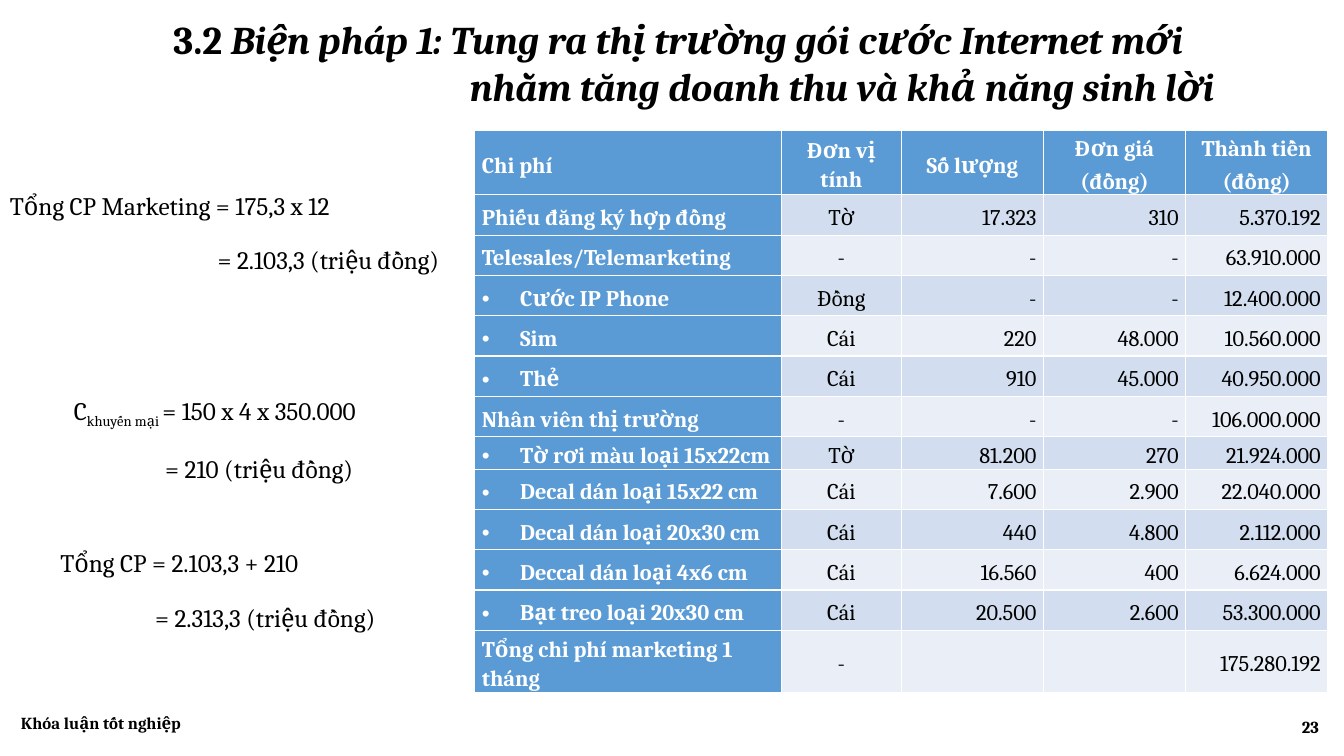
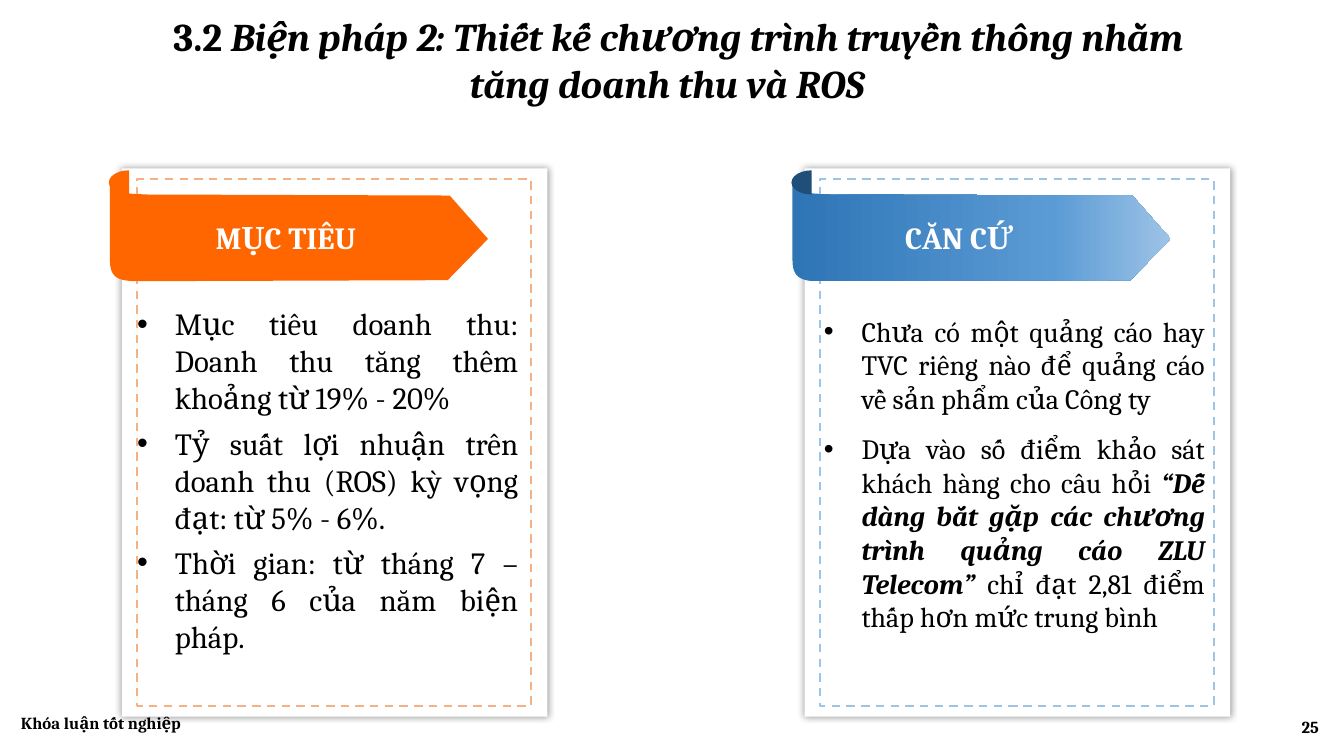
from copy import deepcopy
from dataclasses import dataclass, field
from typing import Any

from pptx import Presentation
from pptx.dml.color import RGBColor
from pptx.enum.shapes import MSO_SHAPE as SHAPE
from pptx.enum.dml import MSO_LINE
from pptx.enum.text import MSO_ANCHOR as ANCHOR, MSO_AUTO_SIZE as AUTO, PP_ALIGN as ALIGN
from pptx.oxml import parse_xml
from pptx.oxml.ns import nsdecls, qn
from pptx.util import Inches, Pt

BLACK = RGBColor(0x00, 0x00, 0x00)
WHITE = RGBColor(0xFF, 0xFF, 0xFF)
BLUE = RGBColor(0x5B, 0x9B, 0xD5)
DARK_BLUE = RGBColor(0x2E, 0x75, 0xB6)
NAVY = RGBColor(0x1F, 0x4E, 0x79)
LIGHT_BLUE = RGBColor(0x9D, 0xC3, 0xE6)
ORANGE = RGBColor(0xFF, 0x66, 0x00)
PEACH = RGBColor(0xF4, 0xB1, 0x83)
BAND_DARK = RGBColor(0xD2, 0xDE, 0xEF)
BAND_LIGHT = RGBColor(0xEA, 0xEF, 0xF7)

FONT = "Cambria"
TITLE_INDENT = 2.94
BULLET_INDENT = 0.38
TWO_CONTENT, TITLE_ONLY = 3, 5

Box = tuple[float, float, float, float]
Point = tuple[float, float]


@dataclass
class Run:
    text: str
    bold: bool = False
    italic: bool = False
    baseline: int = 0


@dataclass
class Para:
    runs: list[Run]
    indent: float = 0
    fmt: dict[str, Any] = field(default_factory=dict)


@dataclass
class Formula:
    box: Box
    paras: list[Para]
    wrap: bool = True


@dataclass
class Panel:
    left: float
    frame: RGBColor
    ribbon: list[tuple[float, RGBColor]]
    fold: RGBColor
    label: str
    label_left: float
    body: Box
    size: int
    gap: int
    items: list[list[Run]]


def fill_text(tf: Any, paras: list[Para], size: float, color: RGBColor = BLACK) -> None:
    for i, para in enumerate(paras):
        p = tf.paragraphs[0] if i == 0 else tf.add_paragraph()
        for name, value in para.fmt.items():
            setattr(p, name, value)
        if i == 0:
            p.space_before = Pt(0)
        if para.indent:
            p._p.get_or_add_pPr().set("indent", str(Inches(para.indent)))
        for run in para.runs:
            r = p.add_run()
            r.text = run.text
            look = {"name": FONT, "size": Pt(size), "bold": run.bold, "italic": run.italic}
            for name, value in look.items():
                setattr(r.font, name, value)
            r.font.color.rgb = color
            if run.baseline:
                r.font._element.set("baseline", str(run.baseline * 1000))


def place(sp: Any, box: Box) -> None:
    for name, value in zip(("left", "top", "width", "height"), box):
        setattr(sp, name, Inches(value))


def set_frame(tf: Any, anchor: Any, wrap: bool = True) -> None:
    for name, value in {"word_wrap": wrap, "auto_size": AUTO.NONE, "vertical_anchor": anchor}.items():
        setattr(tf, name, value)


def add_text(slide: Any, box: Box, paras: list[Para], size: float, color: RGBColor = BLACK,
             anchor: Any = ANCHOR.MIDDLE, wrap: bool = True) -> None:
    tf = slide.shapes.add_textbox(*map(Inches, box)).text_frame
    set_frame(tf, anchor, wrap)
    fill_text(tf, paras, size, color)


def new_slide(prs: Any, layout: int, first: str, second: str, top: float, number: int) -> Any:
    """Add a slide with its two-line title, footer and page number."""
    slide = prs.slides.add_slide(prs.slide_layouts[layout])
    title = slide.shapes.title
    place(title, (1.62, top, 10.67, 1.04))
    set_frame(title.text_frame, ANCHOR.TOP)
    left = {"alignment": ALIGN.LEFT}
    fill_text(title.text_frame, [
        Para([Run("3.2 ", bold=True), Run(first, bold=True, italic=True)], fmt=left),
        Para([Run(second, bold=True, italic=True)], TITLE_INDENT, left),
    ], 28)
    add_text(slide, (0.11, 6.97, 3, 0.4), [Para([Run("Khóa luận tốt nghiệp", bold=True)])], 12)
    add_text(slide, (10.18, 7.01, 3, 0.4),
             [Para([Run(str(number), bold=True)], fmt={"alignment": ALIGN.RIGHT})], 12)
    return slide


# Cost table
COLUMNS = [3.04, 1.19, 1.41, 1.41, 1.41]
HEADER_HEIGHT, ROW_HEIGHT = 0.63, 0.4
ROW_HEIGHTS = {7: 0.1, 12: 0.32}
BULLET = "• "
COSTS = [
    ("Chi phí", "Đơn vị tính", "Số lượng", "Đơn giá\n(đồng)", "Thành tiền\n(đồng)"),
    ("Phiếu đăng ký hợp đồng", "Tờ", "17.323", "310", "5.370.192"),
    ("Telesales/Telemarketing", "-", "-", "-", "63.910.000"),
    ("• Cước IP Phone", "Đồng", "-", "-", "12.400.000"),
    ("• Sim", "Cái", "220", "48.000", "10.560.000"),
    ("• Thẻ", "Cái", "910", "45.000", "40.950.000"),
    ("Nhân viên thị trường", "-", "-", "-", "106.000.000"),
    ("• Tờ rơi màu loại 15x22cm", "Tờ", "81.200", "270", "21.924.000"),
    ("• Decal dán loại 15x22 cm", "Cái", "7.600", "2.900", "22.040.000"),
    ("• Decal dán loại 20x30 cm", "Cái", "440", "4.800", "2.112.000"),
    ("• Deccal dán loại 4x6 cm", "Cái", "16.560", "400", "6.624.000"),
    ("• Bạt treo loại 20x30 cm", "Cái", "20.500", "2.600", "53.300.000"),
    ("Tổng chi phí marketing 1 tháng", "-", "", "", "175.280.192"),
]


def add_bullet(p: Any) -> None:
    pPr = p._p.get_or_add_pPr()
    pPr.set("marL", str(Inches(BULLET_INDENT)))
    pPr.set("indent", str(-Inches(BULLET_INDENT)))
    pPr.append(parse_xml(f'<a:buFont {nsdecls("a")} typeface="Arial"/>'))
    pPr.append(parse_xml(f'<a:buChar {nsdecls("a")} char="•"/>'))


def fill_cell(cell: Any, text: str, row: int, col: int) -> None:
    strong = row == 0 or col == 0
    margins = {"margin_left": Inches(0.07), "margin_right": Inches(0.07),
               "margin_top": Pt(2), "margin_bottom": 0, "vertical_anchor": ANCHOR.MIDDLE}
    for name, value in margins.items():
        setattr(cell, name, value)
    cell.fill.solid()
    cell.fill.fore_color.rgb = BLUE if strong else BAND_DARK if row % 2 else BAND_LIGHT
    if not text:
        return
    align = ALIGN.LEFT if col == 0 else ALIGN.CENTER if row == 0 or col == 1 else ALIGN.RIGHT
    fmt = {"alignment": align, "line_spacing": 1.15, "space_before": Pt(2)}
    lines = text.removeprefix(BULLET).split("\n")
    fill_text(cell.text_frame, [Para([Run(line, bold=strong)], fmt=fmt) for line in lines],
              16, WHITE if strong else BLACK)
    if text.startswith(BULLET):
        add_bullet(cell.text_frame.paragraphs[0])


def add_cost_table(slide: Any) -> None:
    heights = [HEADER_HEIGHT] + [ROW_HEIGHTS.get(i, ROW_HEIGHT) for i in range(1, len(COSTS))]
    box = (4.71, 1.29, sum(COLUMNS), sum(heights))
    table = slide.shapes.add_table(len(COSTS), len(COLUMNS), *map(Inches, box)).table
    table.first_col = True
    for column, width in zip(table.columns, COLUMNS):
        column.width = Inches(width)
    for i, (row, height) in enumerate(zip(table.rows, heights)):
        row.height = Inches(height)
        for j, text in enumerate(COSTS[i]):
            fill_cell(table.cell(i, j), text, i, j)


STEP = {"line_spacing": 1.15, "space_before": Pt(2), "space_after": Pt(12)}
CENTERED = STEP | {"alignment": ALIGN.CENTER}
FORMULAS = [
    Formula((0, 1.79, 4.73, 0.96), [
        Para([Run("Tổng CP Marketing = 175,3 x 12")], fmt=STEP),
        Para([Run("= 2.103,3 (triệu đồng)")], 2.06, STEP)]),
    Formula((0.44, 3.82, 3.38, 0.96), [
        Para([Run("C"), Run("khuyến mại ", baseline=-25), Run("= 150 x 4 x 350.000")], fmt=CENTERED),
        Para([Run("= 210 (triệu đồng)")], 0.88, CENTERED)], wrap=False),
    Formula((0.5, 5.34, 3.7, 0.96), [
        Para([Run("Tổng CP = 2.103,3 + 210")], fmt=STEP),
        Para([Run("= 2.313,3 (triệu đồng)")], 0.94, STEP)]),
]

# Panels
PANEL_TOP = 1.67
PANELS = [
    Panel(1.21, PEACH, [(0, ORANGE)], ORANGE, "MỤC TIÊU", 2.04, (1.26, 2.96, 3.98, 3.6), 22, 6, [
        [Run("Mục tiêu doanh thu: Doanh thu tăng thêm khoảng từ 19% - 20%")],
        [Run("Tỷ suất lợi nhuận trên doanh thu (ROS) kỳ vọng đạt: từ 5% - 6%.")],
        [Run("Thời gian: từ tháng 7 – tháng 6 của năm biện pháp.")]]),
    Panel(7.98, LIGHT_BLUE, [(0, DARK_BLUE), (0.69, BLUE), (1, LIGHT_BLUE)], NAVY,
          "CĂN CỨ", 8.88, (8.07, 3.05, 3.98, 3.3), 20, 12, [
        [Run("Chưa có một quảng cáo hay TVC riêng nào để quảng cáo về sản phẩm của Công ty")],
        [Run("Dựa vào số điểm khảo sát khách hàng cho câu hỏi "),
         Run("“Dễ dàng bắt gặp các chương trình quảng cáo ZLU Telecom” ", bold=True, italic=True),
         Run("chỉ đạt 2,81 điểm thấp hơn mức trung bình")]]),
]


def curve(a: Point, b: Point, c: Point, d: Point, steps: int = 12) -> list[Point]:
    """Points along a cubic Bézier curve, without its start."""
    ts = [i / steps for i in range(1, steps + 1)]
    return [tuple((1 - t) ** 3 * w + 3 * (1 - t) ** 2 * t * x + 3 * (1 - t) * t ** 2 * y + t ** 3 * z
                  for w, x, y, z in zip(a, b, c, d)) for t in ts]


def add_shape(slide: Any, kind: Any, box: Box, fill: RGBColor | None) -> Any:
    sp = slide.shapes.add_shape(kind, *map(Inches, box))
    sp.shadow.inherit = False
    sp.line.fill.background()
    if fill is None:
        sp.fill.background()
    else:
        sp.fill.solid()
        sp.fill.fore_color.rgb = fill
    return sp


def add_glow_shadow(sp: Any) -> None:
    sp._element.spPr.find(qn("a:effectLst")).append(parse_xml(
        f'<a:outerShdw {nsdecls("a")} blurRad="{Pt(5)}" dist="0" dir="0" algn="ctr" rotWithShape="0">'
        '<a:srgbClr val="000000"><a:alpha val="40000"/></a:srgbClr></a:outerShdw>'))


def add_ribbon(slide: Any, left: float, stops: list[tuple[float, RGBColor]]) -> None:
    top = PANEL_TOP + 0.11
    points = [(0.23, 1.01), (3.35, 1), (3.75, 0.59), (3.37, 0.16), (0.36, 0.15)]
    points += curve(points[-1], (0.23, 0.14), (0.03, 0.16), (0, 0))
    points.append((0, 0.8))
    points += curve(points[-1], (0, 0.98), (0.09, 1), points[0])
    outline = [(Inches(left + x), Inches(top + y)) for x, y in points]
    builder = slide.shapes.build_freeform(*outline[0])
    builder.add_line_segments(outline[1:], close=True)
    sp = builder.convert_to_shape()
    sp.shadow.inherit = False
    sp.line.fill.background()
    if len(stops) == 1:
        sp.fill.solid()
        sp.fill.fore_color.rgb = stops[0][1]
        return
    sp.fill.gradient()
    sp.fill.gradient_angle = 0
    gs_list = next(sp._element.spPr.iter(qn("a:gsLst")))
    while len(gs_list) < len(stops):
        gs_list.append(deepcopy(gs_list[-1]))
    for stop, (position, color) in zip(sp.fill.gradient_stops, stops):
        stop.position = position
        stop.color.rgb = color


def add_panel(slide: Any, panel: Panel, body: Any) -> None:
    card = add_shape(slide, SHAPE.RECTANGLE, (panel.left, PANEL_TOP, 4.22, 5.44), WHITE)
    add_glow_shadow(card)
    frame = add_shape(slide, SHAPE.RECTANGLE, (panel.left + 0.15, PANEL_TOP + 0.11, 3.91, 5.22), None)
    frame.line.color.rgb = panel.frame
    frame.line.width = Pt(1.5)
    frame.line.dash_style = MSO_LINE.DASH
    add_ribbon(slide, panel.left - 0.12, panel.ribbon)
    fold = add_shape(slide, SHAPE.PIE, (panel.left - 0.13, PANEL_TOP + 0.02, 0.4, 0.24), panel.fold)
    fold.adjustments[0], fold.adjustments[1] = 54, 162
    add_text(slide, (panel.label_left, 2.12, 2.69, 0.47), [Para([Run(panel.label, bold=True)])], 22, WHITE)

    slide.shapes._spTree.append(body._element)  # list in front of its card
    place(body, panel.body)
    set_frame(body.text_frame, ANCHOR.MIDDLE)
    fmt = {"alignment": ALIGN.JUSTIFY, "space_before": Pt(0), "space_after": Pt(panel.gap)}
    fill_text(body.text_frame, [Para(runs, fmt=fmt) for runs in panel.items], panel.size)


def main() -> None:
    prs = Presentation()
    prs.slide_width, prs.slide_height = Inches(13.33), Inches(7.5)

    slide = new_slide(prs, TITLE_ONLY, "Biện pháp 1: Tung ra thị trường gói cước Internet mới",
                      "nhằm tăng doanh thu và khả năng sinh lời", 0.1, 23)
    add_cost_table(slide)
    for formula in FORMULAS:
        add_text(slide, formula.box, formula.paras, 18, anchor=ANCHOR.TOP, wrap=formula.wrap)

    slide = new_slide(prs, TWO_CONTENT, "Biện pháp 2: Thiết kế chương trình truyền thông nhằm",
                      "tăng doanh thu và ROS", 0.07, 25)
    bodies = list(slide.placeholders)[1:]
    for panel, body in zip(PANELS, bodies):
        add_panel(slide, panel, body)

    prs.save("out.pptx")


if __name__ == "__main__":
    main()
